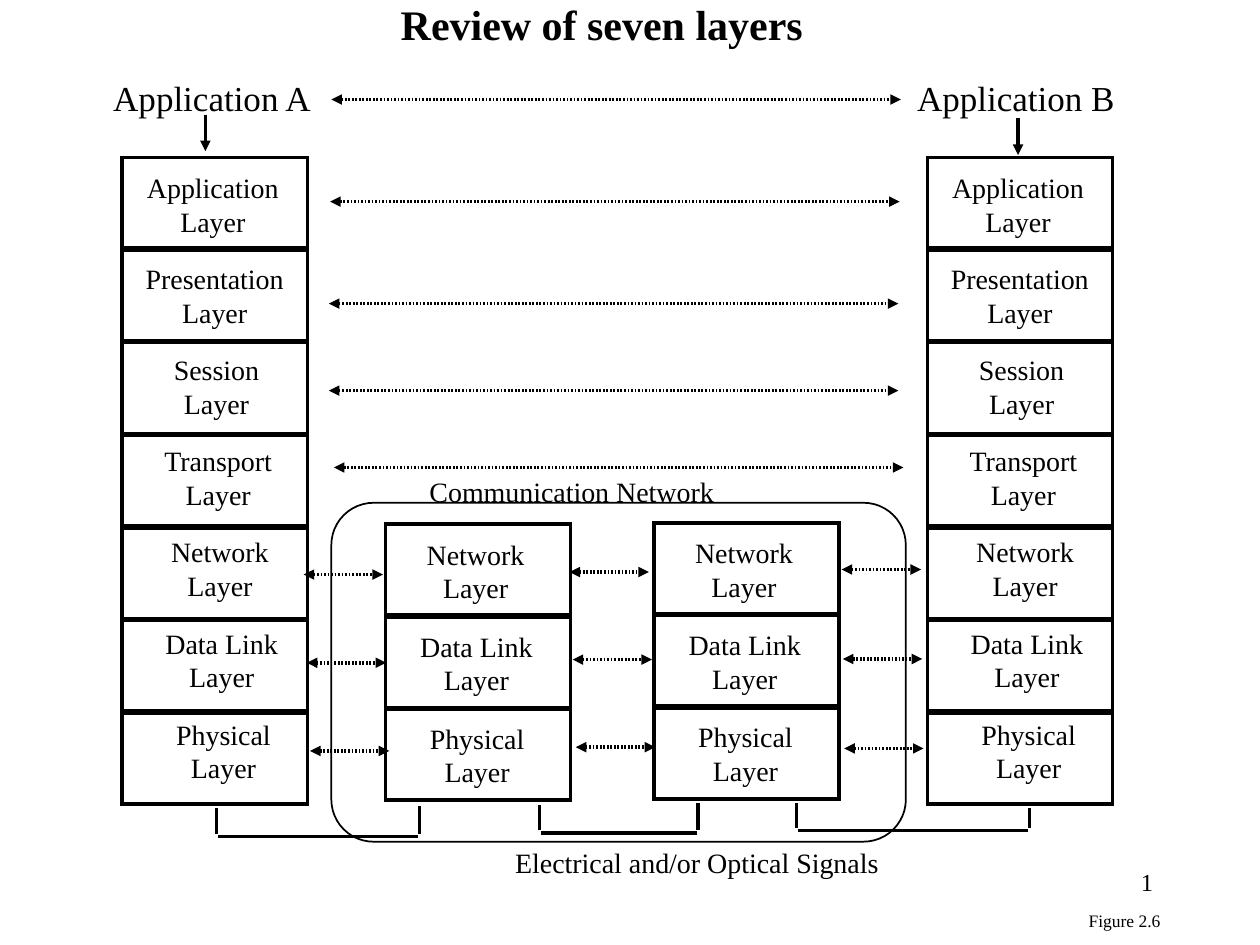
from dataclasses import dataclass
from lxml.etree import SubElement
from pptx import Presentation
from pptx.dml.color import RGBColor
from pptx.enum.shapes import MSO_CONNECTOR, MSO_SHAPE
from pptx.enum.text import MSO_ANCHOR, MSO_AUTO_SIZE, PP_ALIGN
from pptx.oxml.ns import qn
from pptx.util import Inches, Pt


@dataclass(frozen=True)
class Theme:
    font: str = "Times New Roman"
    ink: RGBColor = RGBColor(0, 0, 0)
    title: int = 24
    head: int = 20
    body: int = 16
    page: int = 14
    note: int = 10
    thick: int = 2
    thin: int = 1


LOOK = Theme()
COLS = 100
LEFT, MID, RIGHT = PP_ALIGN.LEFT, PP_ALIGN.CENTER, PP_ALIGN.RIGHT

TITLE = ("Review of seven layers", 30.8, -0.6, 35, 5)
LAYERS = [
    "Application", "Presentation", "Session", "Transport", "Network",
    "Data Link", "Physical",
]
BOX = (14.7, 7.2)
LABEL = (13.6, 6.3)
STEP = 7.35
HOSTS = [(9.7, 12.5), (73.6, 12.5)]
NODES = [(30.6, 41.6), (51.9, 41.5)]
CLOUD = (26.3, 39.9, 45.6, 26.9)
LABELS = [
    ("Application A", 8, 5.6, 17.8, 4.3, LOOK.head, LEFT),
    ("Application B", 71.8, 5.6, 17.8, 4.3, LOOK.head, LEFT),
    ("Communication Network", 33.1, 37.2, 24.8, 3.6, LOOK.body, LEFT),
    ("Electrical and/or Optical Signals", 39.9, 66.6, 31, 3.6, LOOK.body, LEFT),
    ("1", 71.7, 68.3, 20.8, 5, LOOK.page, RIGHT),
    ("Figure 2.6", 85.4, 71.7, 7.7, 2.7, LOOK.note, MID),
]
DROPS = [(16.3, 9.1), (80.8, 9.4)]
PEERS = [(26.3, 7.9), (26.2, 16), (26.1, 24.1), (26.1, 31), (26.5, 37.1)]
HOPS = [(24.1, 45.6, 0.25, 7), (45.2, 45.4, 0.25, 6.95), (66.8, 45.2, 0.1, 7.1)]
WIRES = [
    ((17.2, 64.1), (33.3, 64), 66.4),
    ((42.8, 63.9), (55.4, 63.7), 66.1),
    ((63.2, 63.7), (81.7, 64.1), 65.9),
]

deck = Presentation()
deck.slide_width, deck.slide_height = Inches(10), Inches(7.5)
unit = deck.slide_width / COLS
slide = deck.slides.add_slide(deck.slide_layouts[5])
shapes = slide.shapes


def grid(*cells):
    return [round(cell * unit) for cell in cells]


def style(item, values):
    for key, value in values.items():
        setattr(item, key, value)


def write(box, lines, size, align, bold=False, anchor=MSO_ANCHOR.TOP):
    frame = box.text_frame
    frame.text = "\n".join(lines)
    style(frame, {"word_wrap": False, "auto_size": MSO_AUTO_SIZE.SHAPE_TO_FIT_TEXT,
                  "vertical_anchor": anchor})
    for para in frame.paragraphs:
        para.alignment = align
        style(para.font, {"name": LOOK.font, "size": Pt(size), "bold": bold})
        para.font.color.rgb = LOOK.ink


def ink(line, width):
    line.color.rgb = LOOK.ink
    line.width = Pt(width)
    return line._get_or_add_ln()


def outline(kind, area, width):
    shape = shapes.add_shape(kind, *grid(*area))
    shape.shadow.inherit = False
    shape.fill.background()
    SubElement(ink(shape.line, width), qn("a:miter"), lim="800000")
    return shape


def link(x1, y1, x2, y2, ends=(), dots=False):
    wire = shapes.add_connector(MSO_CONNECTOR.STRAIGHT, *grid(x1, y1, x2, y2))
    line = ink(wire.line, LOOK.thick)
    if dots:
        dash = SubElement(line, qn("a:custDash"))
        SubElement(dash, qn("a:ds"), d="50000", sp="50000")
    for end in ends:
        SubElement(line, qn("a:" + end), type="triangle")
    SubElement(wire._element.spPr, qn("a:effectLst"))


def stack(x, y, layers, drift, pitch, shift):
    wide, high = BOX
    span, tall = LABEL
    for row, name in enumerate(layers):
        outline(MSO_SHAPE.RECTANGLE, (x, y + row * STEP, wide, high), LOOK.thick)
        left = x + shift + drift * row - span / 2
        box = shapes.add_textbox(*grid(left, y + 0.55 + row * pitch, span, tall))
        write(box, [name, "Layer"], LOOK.body, MID)


text, *area = TITLE
head = shapes.title
style(head, dict(zip(("left", "top", "width", "height"), grid(*area))))
write(head, [text], LOOK.title, LEFT, bold=True)

for x, y in HOSTS:
    stack(x, y, LAYERS, 0.14, 7.23, 7.2)
for x, y in NODES:
    stack(x, y, LAYERS[-3:], 0.06, 7.3, 7.15)

cloud = outline(MSO_SHAPE.ROUNDED_RECTANGLE, CLOUD, LOOK.thin)
cloud.adjustments[0] = 0.125

for text, x, y, wide, high, size, align in LABELS:
    box = shapes.add_textbox(*grid(x, y, wide, high))
    anchor = MSO_ANCHOR.MIDDLE if size == LOOK.note else MSO_ANCHOR.TOP
    write(box, [text], size, align, anchor=anchor)

BOTH = ("headEnd", "tailEnd")
for x, y in DROPS:
    link(x, y, x, y + 2.9, BOTH[1:])
for x, y in PEERS:
    link(x, y, x + 45.2, y, BOTH, True)
for x, y, drift, pitch in HOPS:
    for row in range(3):
        left, top = x + drift * row, y + pitch * row
        link(left, top, left + 6.3, top, BOTH, True)
for (x1, y1), (x2, y2), base in WIRES:
    link(x1, y1, x1, base - 0.2)
    link(x2, y2, x2, base - 0.2)
    link(x1 + 0.1, base, x2 - 0.1, base)

deck.save("out.pptx")
